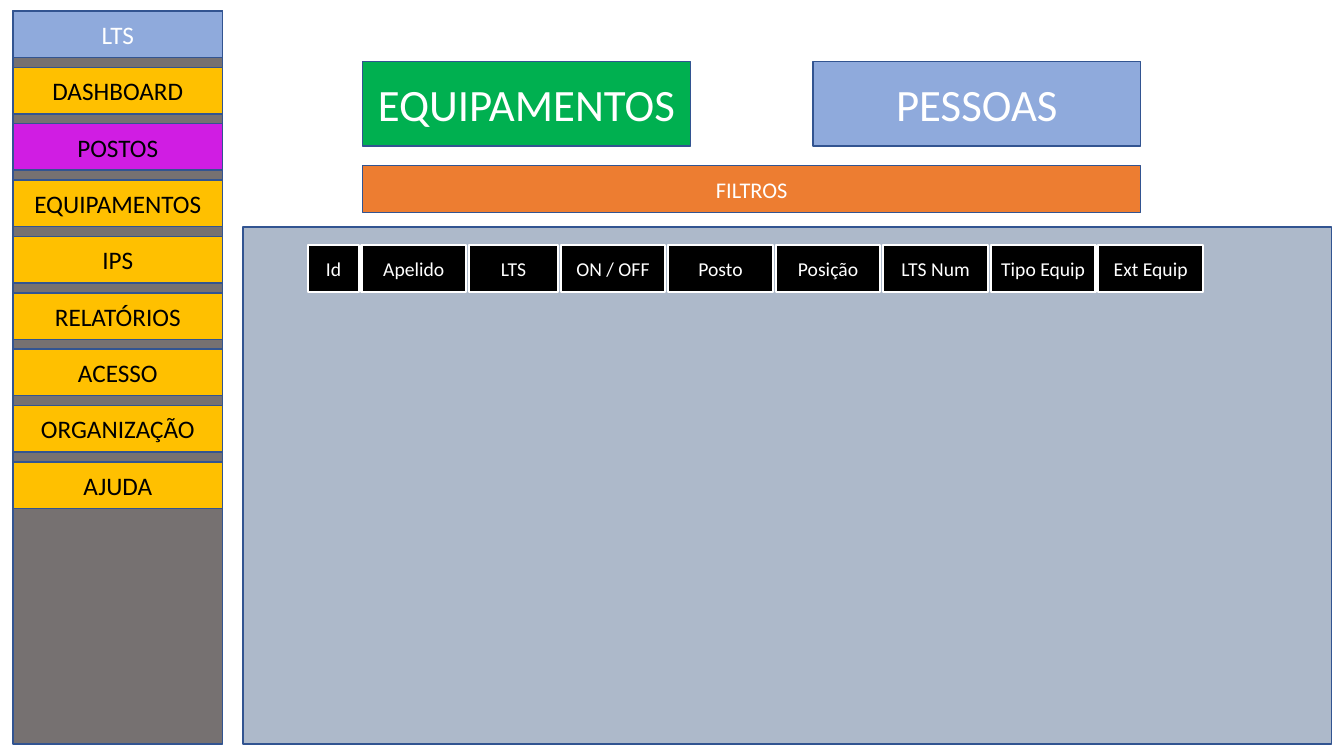
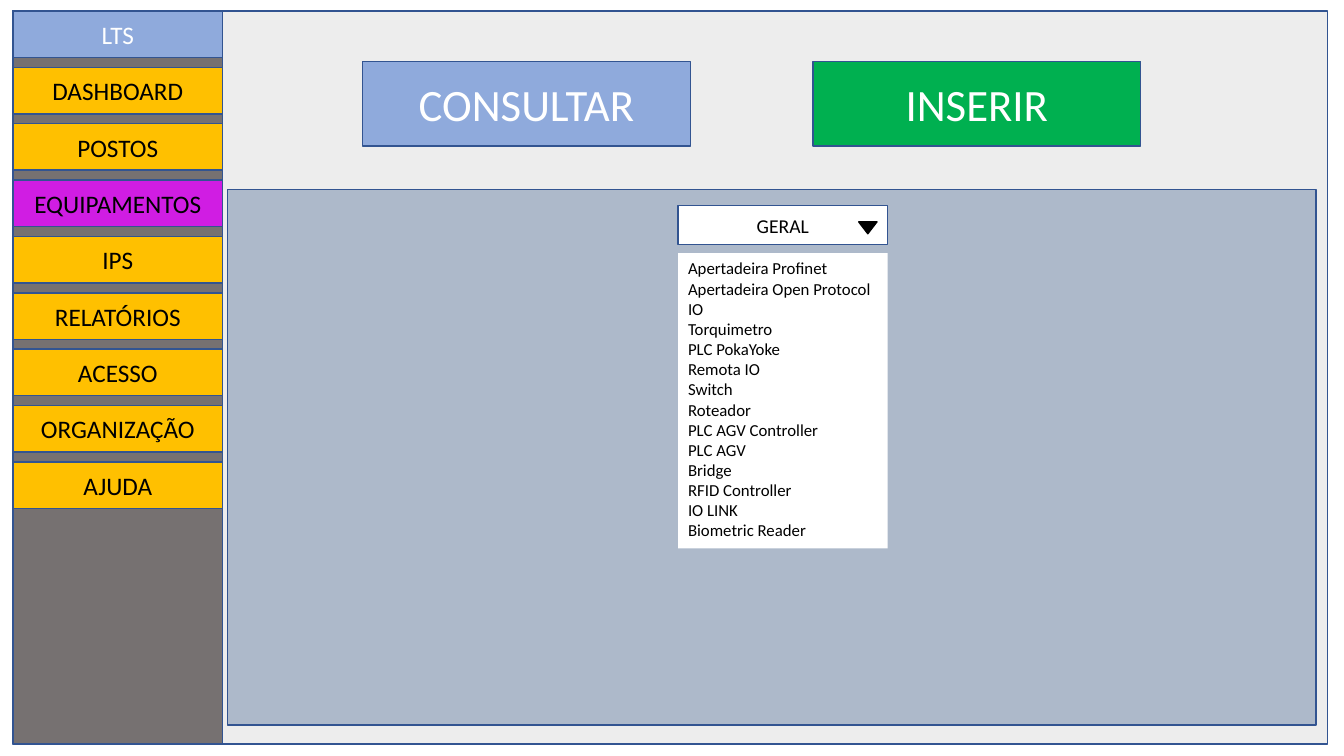
import dataclasses

import pptx
import pptx.dml.color
import pptx.enum.shapes
import pptx.enum.text
import pptx.util

Cm = pptx.util.Cm
Pt = pptx.util.Pt
SHAPES = pptx.enum.shapes.MSO_SHAPE
ALIGN = pptx.enum.text.PP_ALIGN
ANCHOR = pptx.enum.text.MSO_ANCHOR


@dataclasses.dataclass(frozen=True)
class Theme:
    """Colours, font and type sizes shared by the slides."""
    font: str = "Calibri"
    outline: str = "325491"
    white: str = "FFFFFF"
    black: str = "000000"
    rail: str = "767171"
    blue: str = "8FAADC"
    menu: str = "FFC000"
    selected: str = "D01DE3"
    active: str = "00B050"
    filters: str = "ED7D31"
    panel: str = "ADB9CA"
    backdrop: str = "EDEDED"
    tab_size: int = 32
    menu_size: int = 18
    filter_size: int = 16
    label_size: int = 14
    list_size: int = 12


@dataclasses.dataclass(frozen=True)
class Box:
    """A rectangle in centimetres."""
    left: float
    top: float
    width: float
    height: float


THEME = Theme()
FRAME = Box(0.33, 0.28, 33.12, 18.47)
SIDEBAR = Box(FRAME.left, FRAME.top, 5.28, FRAME.height)
TABS = Box(9.14, 1.55, 19.61, 2.13)
FILTER_BAR = Box(TABS.left, 4.17, TABS.width, 1.19)
STATIONS_PANEL = Box(6.12, 5.72, 27.43, 13.03)
EQUIPMENT_PANEL = Box(5.74, 4.78, 27.43, 13.49)

MENU = ["DASHBOARD", "POSTOS", "EQUIPAMENTOS", "IPS", "RELATÓRIOS",
        "ACESSO", "ORGANIZAÇÃO", "AJUDA"]
COLUMNS = [("Id", 1.27), ("Apelido", 2.64), ("LTS", 2.24), ("ON / OFF", 2.64),
           ("Posto", 2.64), ("Posição", 2.64), ("LTS Num", 2.64),
           ("Tipo Equip", 2.64), ("Ext Equip", 2.64)]
EQUIPMENT_TYPES = [
    "Apertadeira Profinet", "Apertadeira Open Protocol", "IO", "Torquimetro",
    "PLC PokaYoke", "Remota IO", "Switch", "Roteador", "PLC AGV Controller",
    "PLC AGV", "Bridge", "RFID Controller", "IO LINK", "Biometric Reader"]


def rgb(value):
    """Turn a hex string into a colour."""
    return pptx.dml.color.RGBColor.from_string(value)


def add_block(page, box, fill, line=THEME.outline, weight=1, kind=SHAPES.RECTANGLE):
    """Draw a flat shape in the box; line None means no outline."""
    block = page.shapes.add_shape(
        kind, Cm(box.left), Cm(box.top), Cm(box.width), Cm(box.height))
    block.shadow.inherit = False
    block.fill.solid()
    block.fill.fore_color.rgb = rgb(fill)
    if line is None:
        block.line.fill.background()
    else:
        block.line.color.rgb = rgb(line)
        block.line.width = Pt(weight)
    return block


def write(block, text, size, color, align=ALIGN.CENTER, anchor=ANCHOR.MIDDLE):
    """Fill a shape with text, one paragraph per line."""
    frame = block.text_frame
    frame.text = text
    frame.word_wrap = True
    frame.vertical_anchor = anchor
    for para in frame.paragraphs:
        para.alignment = align
        for span in para.runs:
            span.font.name = THEME.font
            span.font.size = Pt(size)
            span.font.color.rgb = rgb(color)


def add_button(page, box, text, size, fill, color=THEME.white, **outline):
    """Draw a block with a centred label that may use its full width."""
    button = add_block(page, box, fill, **outline)
    button.text_frame.margin_left = button.text_frame.margin_right = 0
    write(button, text, size, color)


def add_sidebar(page, box, selected):
    """Draw the navigation rail with one menu entry highlighted."""
    pitch, height = 1.42, 1.17
    add_block(page, box, THEME.rail)
    add_button(page, Box(box.left, box.top, box.width, height),
               "LTS", THEME.menu_size, THEME.blue)
    for row, label in enumerate(MENU, start=1):
        entry = Box(box.left, box.top + row * pitch, box.width, height)
        fill = THEME.selected if label == selected else THEME.menu
        add_button(page, entry, label, THEME.menu_size, fill, THEME.black)


def add_tabs(page, box, labels, active):
    """Draw two large tabs at the ends of the box, the active one green."""
    width = 8.26
    for left, label in zip((box.left, box.left + box.width - width), labels):
        fill = THEME.active if label == active else THEME.blue
        add_button(page, Box(left, box.top, width, box.height),
                   label, THEME.tab_size, fill)


def add_column_heads(page, box):
    """Draw the row of column headings inside the panel box."""
    left, gap = box.left + 1.65, 0.07
    for label, width in COLUMNS:
        add_button(page, Box(left, box.top + 0.45, width, 1.19), label,
                   THEME.label_size, THEME.black, line=THEME.white, weight=1.5)
        left += width + gap


def add_dropdown(page, box, choice, options):
    """Draw an open drop-down: field, arrow and option list below the box."""
    menu = Box(box.left, box.top + box.height + 0.21, box.width, 7.44)
    write(add_block(page, menu, THEME.white, line=None), "\n".join(options),
          THEME.list_size, THEME.black, ALIGN.LEFT, ANCHOR.TOP)
    add_button(page, box, choice, THEME.label_size, THEME.white, THEME.black)
    marker = Box(box.left + box.width - 0.73, box.top + 0.41, 0.46, 0.3)
    arrow = add_block(page, marker, THEME.black, THEME.black,
                      kind=SHAPES.ISOSCELES_TRIANGLE)
    arrow.rotation = 180


def add_page(deck):
    """Add an empty slide."""
    return deck.slides.add_slide(deck.slide_layouts[6])


def add_stations_page(deck):
    """Build the stations screen with its filter bar and columns."""
    page = add_page(deck)
    add_sidebar(page, SIDEBAR, "POSTOS")
    add_tabs(page, TABS, ("EQUIPAMENTOS", "PESSOAS"), "EQUIPAMENTOS")
    add_button(page, FILTER_BAR, "FILTROS", THEME.filter_size, THEME.filters)
    add_block(page, STATIONS_PANEL, THEME.panel)
    add_column_heads(page, STATIONS_PANEL)


def add_equipment_page(deck):
    """Build the equipment screen with its type selector."""
    page = add_page(deck)
    add_block(page, FRAME, THEME.backdrop)
    add_sidebar(page, SIDEBAR, "EQUIPAMENTOS")
    add_tabs(page, TABS, ("CONSULTAR", "INSERIR"), "INSERIR")
    panel = EQUIPMENT_PANEL
    add_block(page, panel, THEME.panel)
    field = Box(panel.left + 11.35, panel.top + 0.4, 5.28, 0.99)
    add_dropdown(page, field, "GERAL", EQUIPMENT_TYPES)


def main():
    """Create and save the deck."""
    deck = pptx.Presentation()
    deck.slide_width = Cm(33.87)
    deck.slide_height = Cm(19.05)
    add_stations_page(deck)
    add_equipment_page(deck)
    deck.save("out.pptx")


main()
